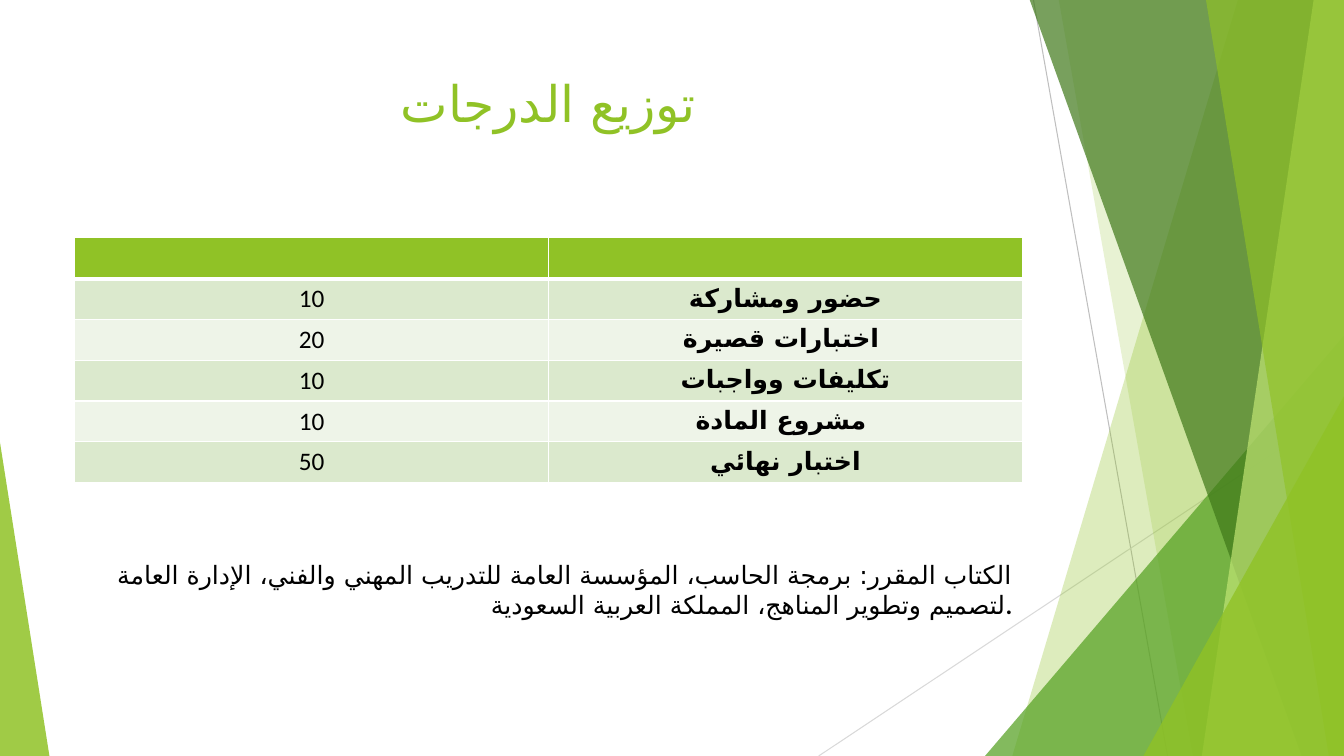
from collections import namedtuple
from dataclasses import dataclass

from lxml import etree
from pptx import Presentation
from pptx.dml.color import RGBColor
from pptx.enum.shapes import MSO_CONNECTOR, MSO_SHAPE
from pptx.enum.text import MSO_ANCHOR, PP_ALIGN
from pptx.oxml.ns import qn
from pptx.util import Inches, Pt

STRAIGHT = MSO_CONNECTOR.STRAIGHT
TRIANGLE = MSO_SHAPE.ISOSCELES_TRIANGLE
TOP = MSO_ANCHOR.TOP
CENTER, RIGHT = PP_ALIGN.CENTER, PP_ALIGN.RIGHT

Box = namedtuple("Box", "left top width height")


@dataclass(frozen=True)
class Theme:
    lime: str = "90C226"
    green: str = "54A021"
    forest: str = "3F7819"
    pale_lime: str = "C0E474"
    odd_row: str = "DBE9CD"
    even_row: str = "EEF4E8"
    ink: str = "000000"
    white: str = "FFFFFF"
    line_dark: str = "BFBFBF"
    line_light: str = "D9D9D9"
    title_font: str = "Karla"
    body_font: str = "Calibri"
    arabic_font: str = "DejaVu Sans"
    title_size: int = 36
    body_size: int = 18


THEME = Theme()
PAGE = Box(0, 0, 13.33, 7.5)
GRADES = [
    ("10", "حضور ومشاركة"),
    ("20", "اختبارات قصيرة "),
    ("10", "تكليفات وواجبات"),
    ("10", "مشروع المادة "),
    ("50", "اختبار نهائي"),
]
BOOK = ("الكتاب المقرر: برمجة الحاسب، المؤسسة العامة للتدريب المهني والفني، "
        "الإدارة العامة لتصميم وتطوير المناهج، المملكة العربية السعودية")


def inches(box):
    return [Inches(value) for value in box]


def add_span(para, text, font=THEME.body_font, size=THEME.body_size,
             color=THEME.ink, bold=False, align=CENTER):
    para.alignment = align
    span = para.add_run()
    span.text = text
    span.font.name = font
    span.font.size = Pt(size)
    span.font.bold = bold
    span.font.color.rgb = RGBColor.from_string(color)
    # Arabic letters take the complex-script font
    complex_font = etree.SubElement(span.font._element, qn("a:cs"))
    complex_font.set("typeface", THEME.arabic_font)


def add_text_box(page, box):
    frame = page.shapes.add_textbox(*inches(box)).text_frame
    frame.word_wrap = True
    frame.vertical_anchor = TOP
    return frame.paragraphs[0]


def paint(shape, color, opacity):
    shape.shadow.inherit = False
    shape.line.fill.background()
    shape.fill.solid()
    shape.fill.fore_color.rgb = RGBColor.from_string(color)
    tint = shape.fill._xPr.find(".//" + qn("a:srgbClr"))
    etree.SubElement(tint, qn("a:alpha")).set("val", str(opacity * 1000))


def add_thin_line(page, start, end, color):
    line = page.shapes.add_connector(STRAIGHT, *inches(start + end))
    line.line.color.rgb = RGBColor.from_string(color)
    line.line.width = Pt(0.75)
    etree.SubElement(line._element.spPr, qn("a:effectLst"))


def add_band(page, box, top_x, bottom_x, color, opacity):
    """A band from a slanted left side to the right edge of the box."""
    right, top, bottom = box.left + box.width, box.top - 0.01, box.top + box.height
    corners = [(right, top), (right, bottom), (box.left + bottom_x, bottom)]
    builder = page.shapes.build_freeform(Inches(box.left + top_x), Inches(top))
    builder.add_line_segments([inches(corner) for corner in corners], close=True)
    paint(builder.convert_to_shape(), color, opacity)


def add_corner(page, box, width, height, color, opacity, at_right=True):
    """A right-angled triangle standing in a bottom corner of the box."""
    left = box.left + (box.width - width if at_right else 0)
    place = Box(left, box.top + box.height - height, width, height)
    corner = page.shapes.add_shape(TRIANGLE, *inches(place))
    corner.adjustments[0] = 1 if at_right else 0
    paint(corner, color, opacity)


def add_backdrop(page, box):
    right, bottom = box.left + box.width, box.top + box.height
    add_thin_line(page, (box.left + 10.25, box.top), (box.left + 11.58, bottom),
                  THEME.line_dark)
    add_thin_line(page, (right, box.top + 4.03), (box.left + 8.12, bottom),
                  THEME.line_light)
    add_band(page, box, 12.28, 10.04, THEME.lime, 30)
    add_band(page, box, 10.5, 11.83, THEME.lime, 20)
    add_corner(page, box, 3.56, 4.17, THEME.green, 72)
    add_band(page, box, 10.21, 12.91, THEME.forest, 70)
    add_band(page, box, 13.03, 11.92, THEME.pale_lime, 70)
    add_band(page, box, 11.96, 13.18, THEME.lime, 65)
    add_corner(page, box, 1.99, 3.57, THEME.lime, 80)
    add_corner(page, box, 0.49, 3.11, THEME.lime, 85, at_right=False)


def style_cell(cell, fill, bottom_width=1):
    cell.vertical_anchor = TOP
    cell.fill.solid()
    cell.fill.fore_color.rgb = RGBColor.from_string(fill)
    properties = cell._tc.get_or_add_tcPr()
    widths = {"a:lnL": 1, "a:lnR": 1, "a:lnT": 1, "a:lnB": bottom_width}
    for index, (side, width) in enumerate(widths.items()):
        border = etree.Element(qn(side), w=str(Pt(width)))
        solid = etree.SubElement(border, qn("a:solidFill"))
        etree.SubElement(solid, qn("a:srgbClr")).set("val", THEME.white)
        properties.insert(index, border)


def add_grades(page, box):
    rows = [("", "")] + GRADES
    table = page.shapes.add_table(len(rows), 2, *inches(box)).table
    for row_index, texts in enumerate(rows):
        if row_index == 0:
            fill = THEME.lime
        else:
            fill = THEME.odd_row if row_index % 2 else THEME.even_row
        for column_index, text in enumerate(texts):
            cell = table.cell(row_index, column_index)
            style_cell(cell, fill, bottom_width=3 if row_index == 0 else 1)
            if text:
                add_span(cell.text_frame.paragraphs[0], text, bold=column_index == 1)


def add_title(page, box):
    add_span(add_text_box(page, box), "توزيع الدرجات", font=THEME.title_font,
             size=THEME.title_size, color=THEME.lime)


def add_book_note(page, box):
    para = add_text_box(page, box)
    add_span(para, BOOK, align=RIGHT)
    add_span(para, ".", bold=True, align=RIGHT)


def main():
    deck = Presentation()
    deck.slide_width, deck.slide_height = Inches(PAGE.width), Inches(PAGE.height)
    page = deck.slides.add_slide(deck.slide_layouts[6])
    add_backdrop(page, PAGE)
    add_title(page, Box(0.74, 0.67, 9.4, 1.44))
    add_grades(page, Box(0.74, 2.36, 9.4, 2.43))
    add_book_note(page, Box(0.94, 5.5, 9.2, 0.71))
    deck.save("out.pptx")


if __name__ == "__main__":
    main()
